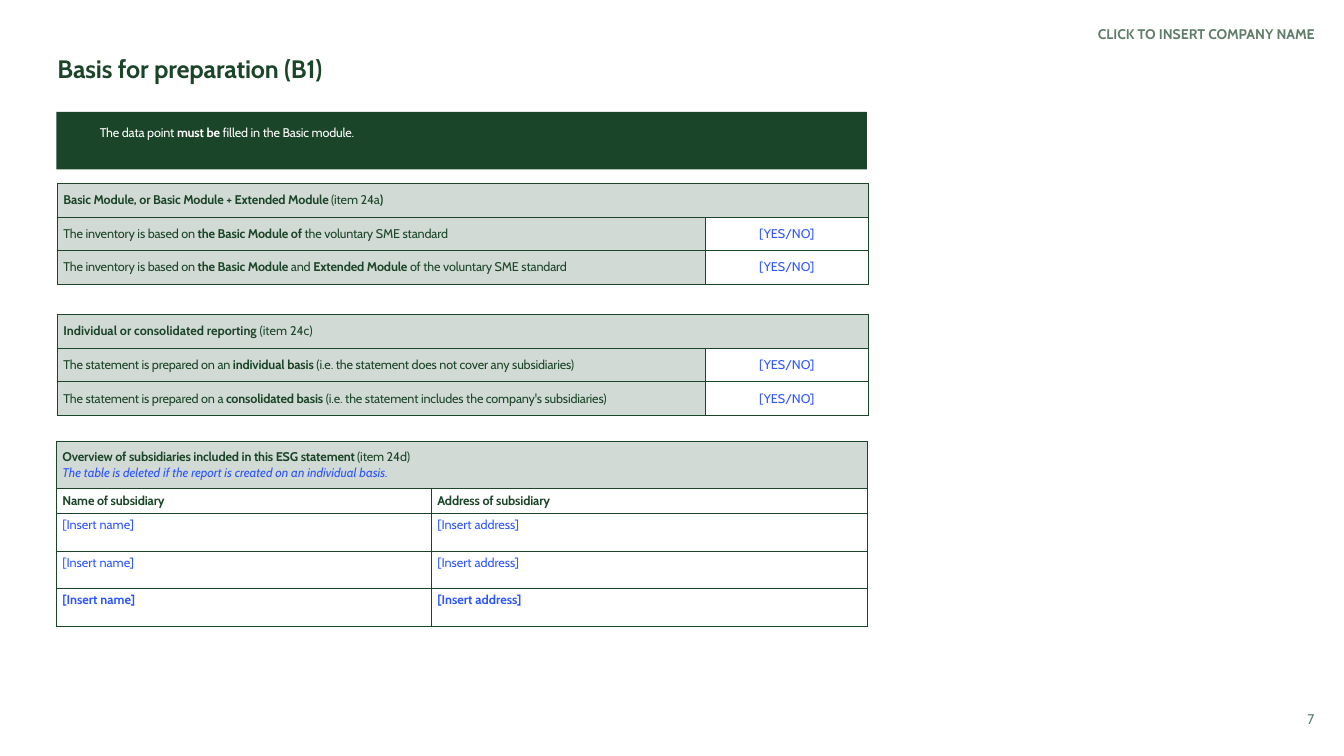
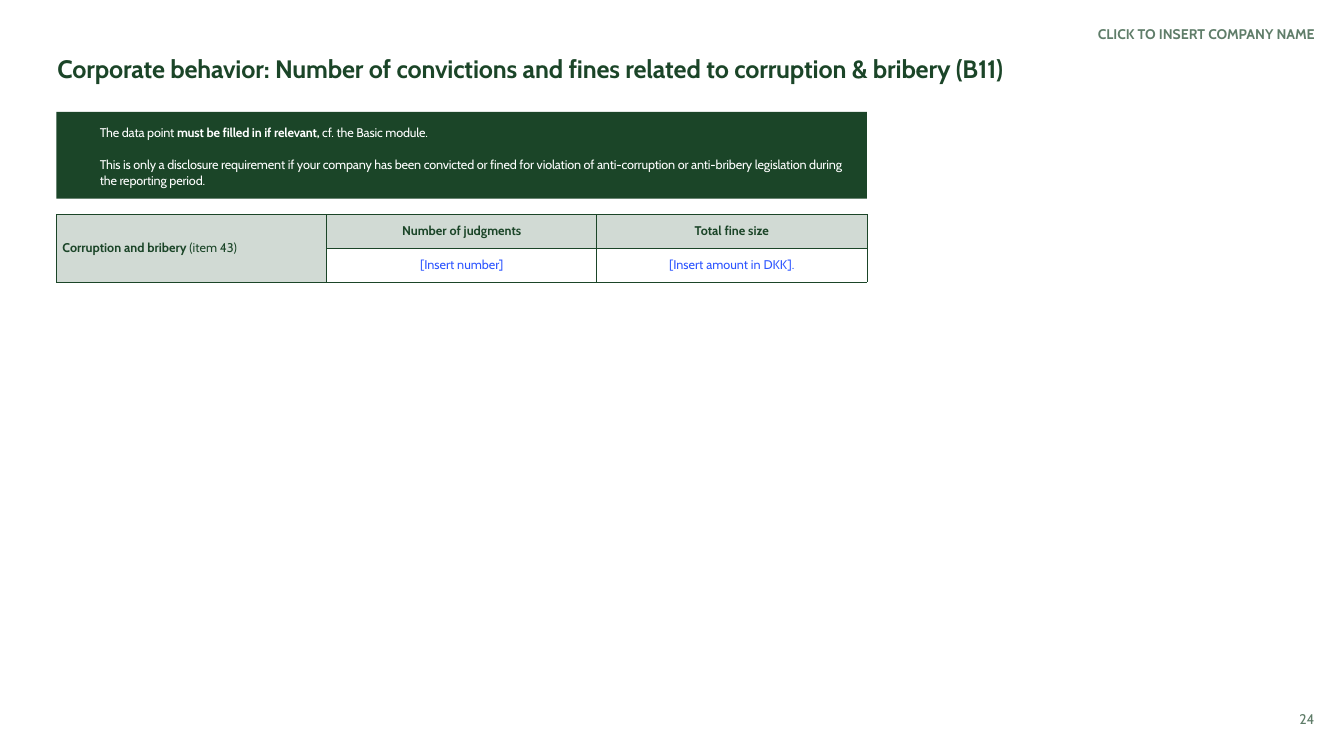
from dataclasses import dataclass, replace

from lxml import etree
from pptx import Presentation, util as u
from pptx.dml.color import RGBColor
from pptx.enum import shapes, text
from pptx.oxml.ns import qn

SLIDE_WIDTH = u.Inches(13.33)
SLIDE_HEIGHT = u.Inches(7.5)
FONT = "Cabin"
COLORS = {
    "green": "1B4528",
    "sage": "D1DAD4",
    "moss": "5F7D69",
    "blue": "2D55FF",
    "white": "FFFFFF",
}
ROW = 4.45
SUBSIDIARY_ROW = 4.98
TITLE_LEFT = 4.27
EDGE = 4.2
CONTENT_WIDTH = 60.3


@dataclass(frozen=True)
class Line:
    text: str
    color: str = "green"
    size: float = 9
    bold: bool = False
    italic: bool = False
    align: text.PP_ALIGN = text.PP_ALIGN.LEFT
    tight: bool = True
    spacing: float = 1.0
    before: float = 0


@dataclass(frozen=True)
class Area:
    left: float
    top: float
    width: float
    height: float

    def box(self) -> tuple[int, int, int, int]:
        return (across(self.left), down(self.top), across(self.width), down(self.height))


@dataclass(frozen=True)
class Cell:
    lines: tuple[Line, ...]
    fill: str = "sage"
    anchor: text.MSO_ANCHOR = text.MSO_ANCHOR.MIDDLE
    columns: int = 1
    rows: int = 1


@dataclass(frozen=True)
class Grid:
    left: float
    top: float
    weights: tuple[int, ...]
    heights: tuple[float, ...]
    cells: tuple[tuple[Cell | None, ...], ...]


@dataclass(frozen=True)
class Page:
    title: str
    number: str
    banner_height: float
    banner: tuple[Line, ...]
    grids: tuple[Grid, ...]


def across(percent: float) -> int:
    return round(SLIDE_WIDTH * percent / 100)


def down(percent: float) -> int:
    return round(SLIDE_HEIGHT * percent / 100)


def rgb(name: str) -> RGBColor:
    return RGBColor.from_string(COLORS[name])


def set_margins(target, left: float, top: float, right: float, bottom: float) -> None:
    target.margin_left, target.margin_top = u.Inches(left), u.Inches(top)
    target.margin_right, target.margin_bottom = u.Inches(right), u.Inches(bottom)


def write_lines(frame, lines: tuple[Line, ...]) -> None:
    for index, line in enumerate(lines):
        paragraph = frame.add_paragraph() if index else frame.paragraphs[0]
        paragraph.alignment = line.align
        paragraph.line_spacing = line.spacing
        if index and line.before:
            paragraph.space_before = u.Pt(line.before)
        font = paragraph.font
        font.name, font.size = FONT, u.Pt(line.size)
        font.italic = line.italic
        font.color.rgb = rgb(line.color)
        pieces = line.text.split("**")
        if len(pieces) == 1:
            font.bold = line.bold
        if line.tight:
            paragraph._p.pPr.get_or_add_defRPr().set("spc", "-10")
        for position, piece in enumerate(pieces):
            if piece:
                run = paragraph.add_run()
                run.text = piece
                if len(pieces) > 1:
                    run.font.bold = position % 2 == 1


def add_label(slide, area: Area, line: Line):
    frame = slide.shapes.add_textbox(*area.box()).text_frame
    frame.word_wrap = True
    set_margins(frame, 0, 0, 0, 0)
    write_lines(frame, (line,))
    return frame


def add_title(slide, title: str) -> None:
    shape = slide.shapes.title
    shape.left, shape.top, shape.width, shape.height = Area(TITLE_LEFT, 7.47, 91.6, 3.6).box()
    frame = shape.text_frame
    set_margins(frame, 0, 0, 0, 0)
    frame.word_wrap = True
    frame.auto_size = text.MSO_AUTO_SIZE.SHAPE_TO_FIT_TEXT
    frame.vertical_anchor = text.MSO_ANCHOR.TOP
    write_lines(frame, (Line(title, size=18, bold=True, spacing=0.9),))


def add_banner(slide, height: float, lines: tuple[Line, ...]) -> None:
    area = Area(EDGE, 14.8, CONTENT_WIDTH, height)
    shape = slide.shapes.add_shape(shapes.MSO_SHAPE.RECTANGLE, *area.box())
    shape.shadow.inherit = False
    shape.fill.solid()
    shape.fill.fore_color.rgb = rgb("green")
    shape.line.fill.background()
    frame = shape.text_frame
    frame.word_wrap = True
    frame.vertical_anchor = text.MSO_ANCHOR.TOP
    set_margins(frame, 0.43, 0.12, 0.16, 0.16)
    write_lines(frame, lines)


def add_borders(cell) -> None:
    properties = cell._tc.get_or_add_tcPr()
    for side in ("a:lnL", "a:lnR", "a:lnT", "a:lnB"):
        border = etree.SubElement(properties, qn(side), w=str(u.Pt(0.5)))
        fill = etree.SubElement(border, qn("a:solidFill"))
        etree.SubElement(fill, qn("a:srgbClr"), val=COLORS["green"])


def add_grid(slide, grid: Grid) -> None:
    area = Area(grid.left, grid.top, CONTENT_WIDTH, sum(grid.heights))
    table = slide.shapes.add_table(len(grid.heights), len(grid.weights), *area.box()).table
    table.first_row = table.horz_banding = False
    for column, weight in zip(table.columns, grid.weights):
        column.width = across(CONTENT_WIDTH * weight / sum(grid.weights))
    for row, height in zip(table.rows, grid.heights):
        row.height = down(height)
    for row_index, row_cells in enumerate(grid.cells):
        for column_index, content in enumerate(row_cells):
            cell = table.cell(row_index, column_index)
            add_borders(cell)
            if content is None:
                continue
            cell.fill.solid()
            cell.fill.fore_color.rgb = rgb(content.fill)
            cell.vertical_anchor = content.anchor
            set_margins(cell, 0.06, 0.04, 0.06, 0.04)
            write_lines(cell.text_frame, content.lines)
            if content.columns > 1 or content.rows > 1:
                cell.merge(table.cell(row_index + content.rows - 1,
                                      column_index + content.columns - 1))


def add_page(presentation, page: Page) -> None:
    slide = presentation.slides.add_slide(presentation.slide_layouts[5])
    add_title(slide, page.title)
    add_banner(slide, page.banner_height, page.banner)
    for grid in page.grids:
        add_grid(slide, grid)
    footer = Line(page.number, size=10, align=text.PP_ALIGN.RIGHT, tight=False)
    frame = add_label(slide, Area(75.3, 94, 22.5, 2.27), footer)
    for color in frame._txBody.iter(qn("a:srgbClr")):
        etree.SubElement(color, qn("a:alpha"), val="70000")
    company = replace(footer, text="CLICK TO INSERT COMPANY NAME", color="moss", bold=True)
    add_label(slide, Area(67.95, 3.33, 29.85, 2.27), company)


def banner_line(words: str) -> Line:
    return Line(words, color="white", spacing=1.06, before=11.5)


def answer(words: str) -> Cell:
    line = Line(words, color="blue", align=text.PP_ALIGN.CENTER, tight=False)
    return Cell((line,), fill="white")


def choice_grid(top: float, heading: Line, *statements: str) -> Grid:
    rows = tuple((Cell((Line(words),)), answer("[YES/NO]")) for words in statements)
    heights = (ROW,) * (len(rows) + 1)
    return Grid(TITLE_LEFT, top, (4, 1), heights, ((Cell((heading,), columns=2), None), *rows))


def subsidiary_row(bold: bool) -> tuple[Cell, ...]:
    return tuple(
        Cell((Line(words, color="blue", bold=bold, tight=False),), "white", text.MSO_ANCHOR.TOP)
        for words in ("[Insert name]", "[Insert address]"))


def column_heading(words: str) -> Cell:
    return Cell((Line(words, bold=True),), fill="white")


def judgment_heading(words: str) -> Cell:
    return Cell((Line(words, bold=True, align=text.PP_ALIGN.CENTER, tight=False),))


SUBSIDIARIES = Grid(
    EDGE, 58.4, (31, 36), (6.2, 3.33) + (SUBSIDIARY_ROW,) * 3,
    (
        (Cell((
            Line("**Overview of subsidiaries included in this ESG statement **(item 24d)"),
            Line("The table is deleted if the report is created on an individual basis.",
                 color="blue", italic=True, tight=False),
        ), columns=2), None),
        (column_heading("Name of subsidiary"), column_heading("Address of subsidiary")),
        *(subsidiary_row(bold) for bold in (False, False, True)),
    ))

JUDGMENTS = Grid(
    EDGE, 28.4, (1, 1, 1), (ROW,) * 2,
    (
        (Cell((Line("**Corruption and bribery **(item 43)", tight=False),), rows=2),
         judgment_heading("Number of judgments"), judgment_heading("Total fine size")),
        (None, answer("[Insert number]"), answer("[Insert amount in DKK].")),
    ))

PAGES = (
    Page(
        "Basis for preparation (B1)", "7", 7.6,
        (banner_line("The data point **must be **filled in the Basic module."),),
        (
            SUBSIDIARIES,
            choice_grid(
                41.6,
                Line("**Individual or consolidated reporting **(item 24c)", tight=False),
                "The statement is prepared on an **individual basis **"
                "(i.e. the statement does not cover any subsidiaries)",
                "The statement is prepared on a **consolidated basis **"
                "(i.e. the statement includes the company's subsidiaries)"),
            choice_grid(
                24.27,
                Line("**Basic Module, or Basic Module + Extended Module **(item 24a**)**"),
                "The inventory is based on **the Basic Module of **the voluntary SME standard",
                "The inventory is based on **the Basic Module **and **Extended Module **"
                "of the voluntary SME standard"),
        )),
    Page(
        "Corporate behavior: Number of convictions and fines related to "
        "corruption & bribery (B11)", "24", 11.47,
        (
            banner_line("The data point **must be filled in if relevant, **cf. the Basic module."),
            banner_line("This is only a disclosure requirement if your company has been convicted "
                        "or fined for violation of anti-corruption or anti-bribery legislation "
                        "during the reporting period."),
        ),
        (JUDGMENTS,)),
)


def main() -> None:
    presentation = Presentation()
    presentation.slide_width, presentation.slide_height = SLIDE_WIDTH, SLIDE_HEIGHT
    for page in PAGES:
        add_page(presentation, page)
    presentation.save("out.pptx")


if __name__ == "__main__":
    main()
